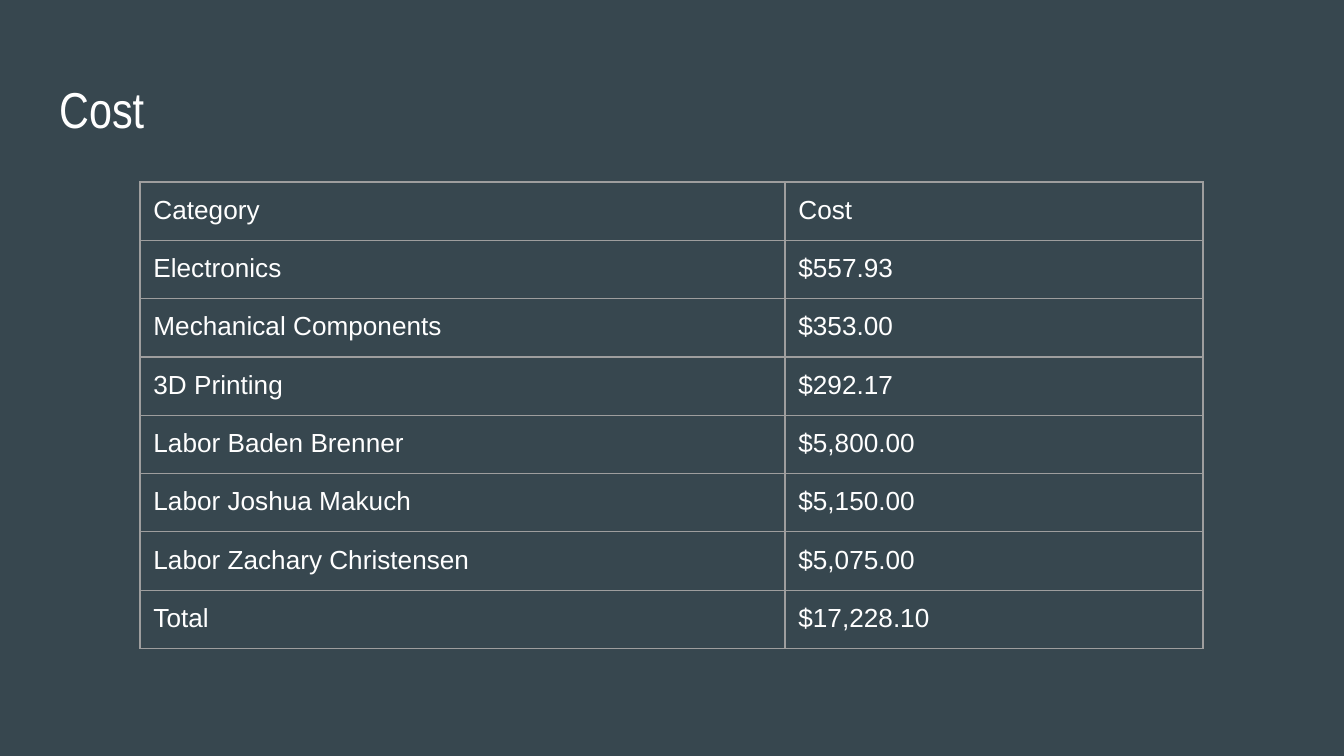
from lxml.etree import SubElement
from pptx import Presentation
from pptx.dml.color import RGBColor
from pptx.enum.text import MSO_ANCHOR
from pptx.oxml.ns import qn
from pptx.util import Pt

TITLE = "Cost"
COSTS = [
    ("Category", "Cost"),
    ("Electronics", "$557.93"),
    ("Mechanical Components", "$353.00"),
    ("3D Printing", "$292.17"),
    ("Labor Baden Brenner", "$5,800.00"),
    ("Labor Joshua Makuch", "$5,150.00"),
    ("Labor Zachary Christensen", "$5,075.00"),
    ("Total", "$17,228.10"),
]
COLORS = {"background": "37474F", "text": "FFFFFF", "border": "9E9E9E"}

SLIDE_W, SLIDE_H = 1344, 756
TITLE_BOX = (46, 66, 1252, 85)
TABLE_LEFT, TABLE_TOP = 140, 182
COLUMN_WIDTHS = (645, 418)
ROW_HEIGHT = 56
INSET = 13.44
BORDER_WIDTH = Pt(0.75)


def px(length):
    return round(length * 914400 / 134.4)


def color(name):
    return RGBColor.from_string(COLORS[name])


def set_insets(owner):
    owner.margin_left = owner.margin_right = px(INSET)
    owner.margin_top = owner.margin_bottom = px(INSET)


def write(frame, text, font_name, size):
    frame.text = text
    font = frame.paragraphs[0].font
    font.name, font.size = font_name, Pt(size)
    font.color.rgb = color("text")


def add_borders(cell):
    properties = cell._tc.get_or_add_tcPr()
    for index, side in enumerate(("lnL", "lnR", "lnT", "lnB")):
        line = properties.makeelement(qn(f"a:{side}"), {"w": str(BORDER_WIDTH)})
        fill = SubElement(line, qn("a:solidFill"))
        SubElement(fill, qn("a:srgbClr"), val=COLORS["border"])
        properties.insert(index, line)


def add_title(slide):
    title = slide.shapes.add_textbox(*map(px, TITLE_BOX)).text_frame
    title.word_wrap = True
    title.vertical_anchor = MSO_ANCHOR.MIDDLE
    set_insets(title)
    write(title, TITLE, "Arial Narrow", 27)


def add_cost_table(slide):
    area = (TABLE_LEFT, TABLE_TOP, sum(COLUMN_WIDTHS), ROW_HEIGHT * len(COSTS))
    table = slide.shapes.add_table(
        len(COSTS), len(COLUMN_WIDTHS), *map(px, area)).table
    table.first_row = table.horz_banding = False
    for column, width in zip(table.columns, COLUMN_WIDTHS):
        column.width = px(width)
    for r, entry in enumerate(COSTS):
        table.rows[r].height = px(ROW_HEIGHT)
        for c, text in enumerate(entry):
            cell = table.cell(r, c)
            cell.fill.background()
            set_insets(cell)
            write(cell.text_frame, text, "Arial", 14)
            add_borders(cell)


def main():
    deck = Presentation()
    deck.slide_width, deck.slide_height = px(SLIDE_W), px(SLIDE_H)
    slide = deck.slides.add_slide(deck.slide_layouts[6])
    slide.background.fill.solid()
    slide.background.fill.fore_color.rgb = color("background")
    add_title(slide)
    add_cost_table(slide)
    deck.save("out.pptx")


if __name__ == "__main__":
    main()
